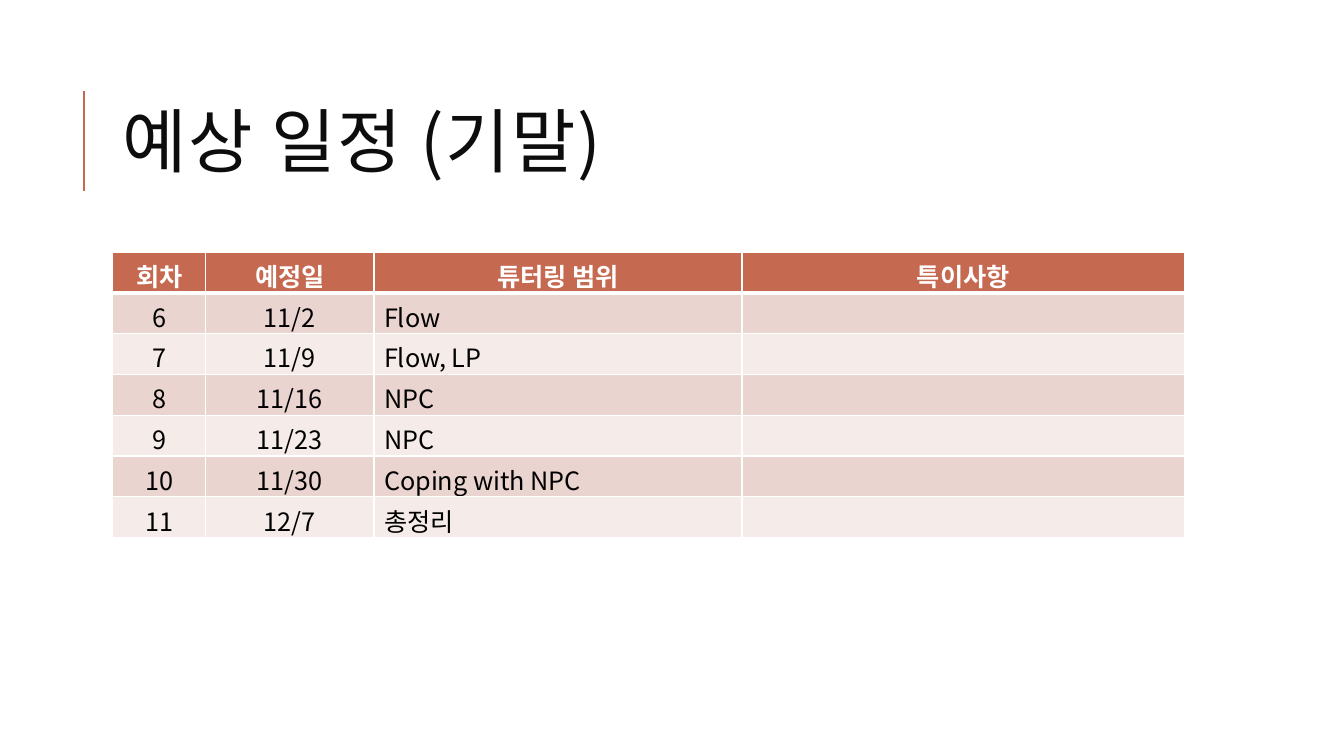
from dataclasses import dataclass

from lxml.etree import SubElement
from pptx import Presentation
from pptx.dml.color import RGBColor
from pptx.enum.shapes import MSO_CONNECTOR as Connector
from pptx.enum.text import MSO_ANCHOR as Anchor, PP_ALIGN as Align
from pptx.oxml.ns import qn
from pptx.util import Inches, Pt

FONT = "Noto Sans CJK KR"
ACCENT, WHITE, BLACK = "C66951", "FFFFFF", "000000"
BANDS = ("EAD4D0", "F5EBE9")
WIDTH, HEIGHT = 13.33, 7.5
LEFT, CONTENT_WIDTH = 0.084, 0.797
ROW_HEIGHT = 0.054


@dataclass(frozen=True)
class Column:
    heading: str
    width: float
    align: Align


@dataclass(frozen=True)
class Session:
    number: str
    date: str
    topic: str
    remark: str = ""


COLUMNS = (
    Column("회차", 0.92, Align.CENTER),
    Column("예정일", 1.67, Align.CENTER),
    Column("튜터링 범위", 3.65, Align.LEFT),
    Column("특이사항", 4.39, Align.LEFT),
)
SESSIONS = (
    Session("6", "11/2", "Flow"),
    Session("7", "11/9", "Flow, LP"),
    Session("8", "11/16", "NPC"),
    Session("9", "11/23", "NPC"),
    Session("10", "11/30", "Coping with NPC"),
    Session("11", "12/7", "총정리"),
)


def rgb(value: str) -> RGBColor:
    return RGBColor.from_string(value)


def across(share: float) -> int:
    return Inches(WIDTH * share)


def down(share: float) -> int:
    return Inches(HEIGHT * share)


def add_run(p, text: str, size: float, color: str, bold: bool = False):
    r = p.add_run()
    r.text = text
    r.font.size = Pt(size)
    r.font.bold = bold
    r.font.name = FONT
    r.font.color.rgb = rgb(color)
    SubElement(r.font._element, qn("a:ea"), typeface=FONT)
    return r


def add_rule(slide) -> None:
    x = across(0.0625)
    line = slide.shapes.add_connector(Connector.STRAIGHT, x, down(0.253), x, down(0.12))
    line.line.color.rgb = rgb(ACCENT)
    line.line.width = Pt(1.5)
    SubElement(line._element.spPr, qn("a:effectLst"))


def add_title(slide) -> None:
    sp = slide.shapes.add_textbox(across(LEFT), down(0.085), across(CONTENT_WIDTH), down(0.219))
    tf = sp.text_frame
    tf.word_wrap = True
    tf.vertical_anchor = Anchor.MIDDLE
    p = tf.paragraphs[0]
    p.line_spacing = 0.8
    r = add_run(p, "예상 일정 (기말)", 50, "0D0D0D")
    r.font._element.set("spc", "100")


def set_borders(cell, top: float, bottom: float) -> None:
    tc_pr = cell._tc.get_or_add_tcPr()
    for side, width in (("L", 1), ("R", 1), ("T", top), ("B", bottom)):
        ln = SubElement(tc_pr, qn(f"a:ln{side}"), w=str(Pt(width)))
        fill = SubElement(ln, qn("a:solidFill"))
        SubElement(fill, qn("a:srgbClr"), val=WHITE)


def fill_cell(cell, text: str, align: Align, row: int) -> None:
    header = row == 0
    set_borders(cell, 3 if row == 1 else 1, 3 if header else 1)
    cell.fill.solid()
    cell.fill.fore_color.rgb = rgb(ACCENT if header else BANDS[(row - 1) % 2])
    p = cell.text_frame.paragraphs[0]
    p.alignment = Align.CENTER if header else align
    p.font.size = Pt(18)
    if text:
        add_run(p, text, 18, WHITE if header else BLACK, header)


def add_schedule(slide) -> None:
    rows = [[c.heading for c in COLUMNS]]
    rows += [[s.number, s.date, s.topic, s.remark] for s in SESSIONS]
    frame = slide.shapes.add_table(
        len(rows), len(COLUMNS), across(LEFT), down(1 / 3),
        across(CONTENT_WIDTH), down(ROW_HEIGHT * len(rows)),
    )
    table = frame.table
    for col, column in enumerate(COLUMNS):
        table.columns[col].width = across(column.width / WIDTH)
    for row, texts in enumerate(rows):
        table.rows[row].height = down(ROW_HEIGHT)
        for col, text in enumerate(texts):
            fill_cell(table.cell(row, col), text, COLUMNS[col].align, row)


def main() -> None:
    prs = Presentation()
    prs.slide_width, prs.slide_height = across(1), down(1)
    slide = prs.slides.add_slide(prs.slide_layouts[6])
    add_rule(slide)
    add_title(slide)
    add_schedule(slide)
    prs.save("out.pptx")


if __name__ == "__main__":
    main()
